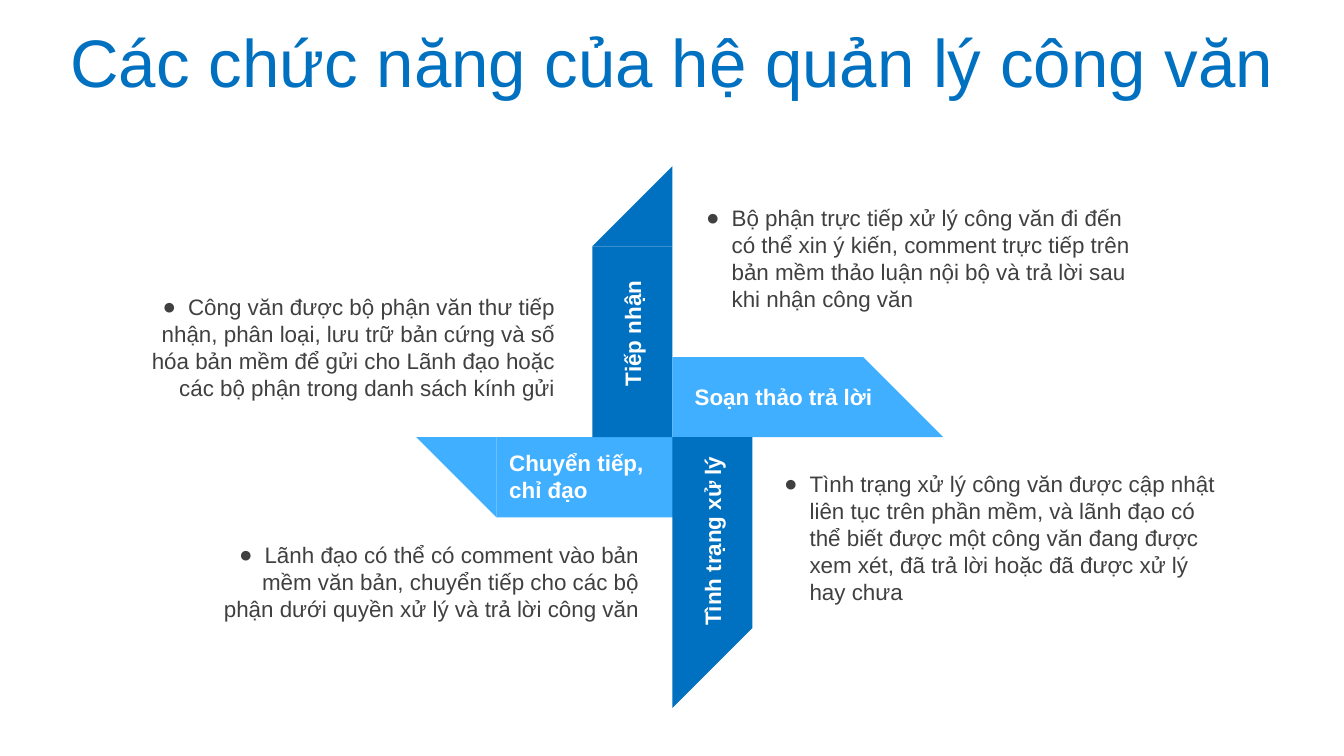
from math import cos, radians, sin

from lxml.etree import SubElement
from pptx import Presentation
from pptx.dml.color import RGBColor
from pptx.enum.shapes import MSO_SHAPE
from pptx.enum.text import MSO_ANCHOR, MSO_AUTO_SIZE, PP_ALIGN
from pptx.oxml.ns import qn
from pptx.util import Inches, Pt

# Grid of square cells on a 16:9 slide: 100 columns by 56.25 rows
COLUMNS, ROWS = 100, 56.25
CELL = Inches(10) / COLUMNS

# Pinwheel measures, in cells
PIVOT = (50.03, 32.53)
BLADE_WIDTH, ARM_LENGTH = 5.96, 14.2

FONT = "Arial"
DARK, LIGHT, GREY, WHITE = "0070C0", "40AFFF", "404040", "FFFFFF"

# Angle, colour, shift of the arm towards the pivot
BLADES = [(270, LIGHT, 1.1), (0, DARK, 0), (90, LIGHT, 0), (180, DARK, 0)]

# Box (column, row, columns, rows), rotation, alignment, text
LABELS = [
    ((50.7, 28, 15.8, 3), 0, PP_ALIGN.LEFT, "Soạn thảo trả lời"),
    ((39.5, 23.3, 15.1, 3), 270, PP_ALIGN.CENTER, "Tiếp nhận"),
    ((45.45, 38.5, 15.1, 3), 270, PP_ALIGN.LEFT, "Tình trạng xử lý"),
    ((36.9, 32.95, 13.9, 5), 0, PP_ALIGN.LEFT, "Chuyển tiếp, chỉ đạo"),
]

# Box, alignment, text
NOTES = [
    ((51.55, 14.7, 34.8, 9.1), PP_ALIGN.LEFT,
     "Bộ phận trực tiếp xử lý công văn đi đến có thể xin ý kiến, comment trực tiếp "
     "trên bản mềm thảo luận nội bộ và trả lời sau khi nhận công văn"),
    ((57.35, 34.5, 34.8, 11.1), PP_ALIGN.LEFT,
     "Tình trạng xử lý công văn được cập nhật liên tục trên phần mềm, và lãnh đạo có "
     "thể biết được một công văn đang được xem xét, đã trả lời hoặc đã được xử lý hay chưa"),
    ((13.75, 39.8, 34.8, 7.1), PP_ALIGN.RIGHT,
     "Lãnh đạo có thể có comment vào bản mềm văn bản, chuyển tiếp cho các bộ phận "
     "dưới quyền xử lý và trả lời công văn"),
    ((7.5, 21.33, 34.8, 9.1), PP_ALIGN.RIGHT,
     "Công văn được bộ phận văn thư tiếp nhận, phân loại, lưu trữ bản cứng và số hóa "
     "bản mềm để gửi cho Lãnh đạo hoặc các bộ phận trong danh sách kính gửi"),
]


def color(hex_string):
    return RGBColor.from_string(hex_string)


def cells(*lengths):
    return [round(length * CELL) for length in lengths]


def format_paragraph(paragraph, size, hex_color, alignment, bold=False):
    paragraph.alignment = alignment
    font = paragraph.font
    font.name, font.size, font.bold = FONT, Pt(size), bold
    font.color.rgb = color(hex_color)


def add_title(slide, box, text):
    title = slide.shapes.title
    title.left, title.top, title.width, title.height = cells(*box)
    frame = title.text_frame
    frame.text = text
    frame.auto_size = MSO_AUTO_SIZE.NONE
    frame.vertical_anchor = MSO_ANCHOR.MIDDLE
    paragraph = frame.paragraphs[0]
    format_paragraph(paragraph, 36, DARK, PP_ALIGN.CENTER)
    paragraph.space_before = Pt(6)


def add_blade(slide, pivot, angle, hex_color, shift):
    """Turn an upright arm and its pointed head around the pivot."""
    group = slide.shapes.add_group_shape()
    turn = radians(angle)
    side = -BLADE_WIDTH / 2
    parts = [
        (MSO_SHAPE.RECTANGLE, ARM_LENGTH, -ARM_LENGTH / 2 + shift),
        (MSO_SHAPE.RIGHT_TRIANGLE, BLADE_WIDTH, -ARM_LENGTH - BLADE_WIDTH / 2 + shift),
    ]
    for kind, length, along in parts:
        center_x = pivot[0] + side * cos(turn) - along * sin(turn)
        center_y = pivot[1] + side * sin(turn) + along * cos(turn)
        shape = group.shapes.add_shape(kind, *cells(
            center_x - BLADE_WIDTH / 2, center_y - length / 2, BLADE_WIDTH, length))
        shape.rotation = angle
        shape.shadow.inherit = False
        shape.fill.solid()
        shape.fill.fore_color.rgb = color(hex_color)
        shape.line.fill.background()
        if kind == MSO_SHAPE.RIGHT_TRIANGLE:
            shape.element.spPr.get_or_add_xfrm().set("flipH", "1")


def add_text(slide, box, text, hex_color, alignment, bold=False):
    text_box = slide.shapes.add_textbox(*cells(*box))
    frame = text_box.text_frame
    frame.word_wrap = True
    frame.auto_size = MSO_AUTO_SIZE.SHAPE_TO_FIT_TEXT
    frame.text = text
    format_paragraph(frame.paragraphs[0], 12, hex_color, alignment, bold)
    return text_box


def add_label(slide, box, rotation, alignment, text):
    add_text(slide, box, text, WHITE, alignment, bold=True).rotation = rotation


def add_note(slide, box, alignment, text):
    text_box = add_text(slide, box, text, GREY, alignment)
    properties = text_box.text_frame.paragraphs[0]._p.get_or_add_pPr()
    indent = Inches(0.19)
    properties.set("marL", str(indent))
    properties.set("indent", str(-indent))
    # The bullet comes before the default run format
    bullet_font = SubElement(properties, qn("a:buFont"), typeface=FONT)
    bullet = SubElement(properties, qn("a:buChar"), char="●")
    properties.insert(0, bullet_font)
    properties.insert(1, bullet)


def main():
    presentation = Presentation()
    presentation.slide_width, presentation.slide_height = cells(COLUMNS, ROWS)
    slide = presentation.slides.add_slide(presentation.slide_layouts[5])

    add_title(slide, (0, 1.35, COLUMNS, 6.3), "Các chức năng của hệ quản lý công văn")

    # Pinwheel
    for blade in BLADES:
        add_blade(slide, PIVOT, *blade)
    for label in LABELS:
        add_label(slide, *label)

    # Explanations around it
    for note in NOTES:
        add_note(slide, *note)

    presentation.save("out.pptx")


if __name__ == "__main__":
    main()
